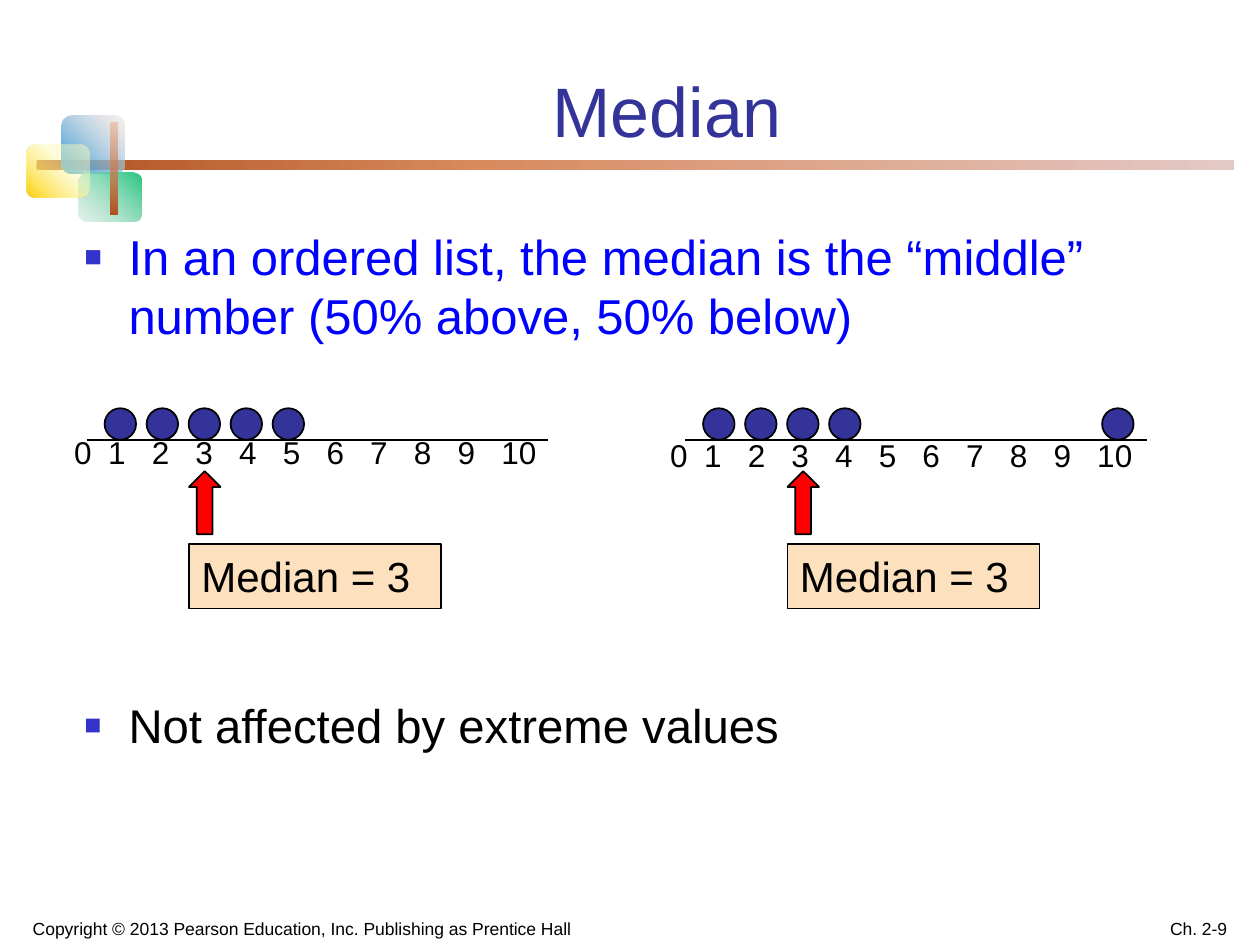
from dataclasses import dataclass

from lxml import etree
from pptx import Presentation
from pptx.dml.color import RGBColor
from pptx.enum import shapes, text
from pptx.oxml import ns
from pptx.util import Inches, Pt


@dataclass(frozen=True)
class Theme:
    face: str = "Arial"
    ink: str = "000000"
    navy: str = "333399"
    blue: str = "0000FF"
    bullet: str = "3333CC"
    red: str = "FF0000"
    peach: str = "FDE0BD"
    title: int = 40
    lead: int = 28
    point: int = 27
    label: int = 24
    tick: int = 18
    foot: int = 10


THEME = Theme()
KIND = shapes.MSO_SHAPE
ALIGN = text.PP_ALIGN
ANCHOR = text.MSO_ANCHOR
FIT = text.MSO_AUTO_SIZE

# Accent shapes: box, gradient angle, stops of (position, colour, opacity)
ACCENTS = [
    ((0.29, 1.27, 9.5, 0.08), 0,
     [(0, "AE511E", 100), (37, "D88A5E", 100), (100, "E4C9C6", 100)]),
    ((0.49, 0.92, 0.5, 0.46), 315, [(0, "2895D8", 100), (100, "F7E2D9", 50)]),
    ((0.62, 1.37, 0.5, 0.39), 135, [(0, "25C580", 100), (100, "CCE2D9", 50)]),
    ((0.21, 1.15, 0.5, 0.42), 315, [(0, "FFCF01", 100), (63, "FCFCBC", 50)]),
    ((0.88, 0.97, 0.05, 0.73), 270, [(0, "AE511E", 100), (100, "EAA782", 50)]),
]


def rgb(code):
    return RGBColor.from_string(code)


def inch(box):
    return [Inches(v) for v in box]


def apply(obj, **form):
    for name, value in form.items():
        setattr(obj, name, value)


def node(parent, tag, **attrs):
    item = etree.SubElement(parent, ns.qn(tag))
    for name, value in attrs.items():
        item.set(name, str(value))
    return item


def set_font(para, size, color=THEME.ink):
    apply(para.font, name=THEME.face, size=Pt(size))
    para.font.color.rgb = rgb(color)


def set_frame(frame, side=0.1, anchor=ANCHOR.TOP, fit=FIT.NONE):
    apply(frame, word_wrap=True, auto_size=fit, vertical_anchor=anchor,
          margin_left=Inches(side), margin_right=Inches(side),
          margin_top=Inches(0.05), margin_bottom=Inches(0.05))


def place(shape, box):
    apply(shape, **dict(zip(("left", "top", "width", "height"), inch(box))))


def add_form(slide, kind, box, fill):
    shape = slide.shapes.add_shape(kind, *inch(box))
    shape.shadow.inherit = False
    shape.fill.solid()
    shape.fill.fore_color.rgb = rgb(fill)
    shape.line.color.rgb = rgb(THEME.ink)
    shape.line.width = Pt(1)
    return shape


def add_text(slide, box, words, size, align=ALIGN.LEFT, **form):
    frame = slide.shapes.add_textbox(*inch(box)).text_frame
    set_frame(frame, **form)
    para = frame.paragraphs[0]
    apply(para, text=words, alignment=align)
    set_font(para, size)
    return para


def add_accent(slide, box, angle, stops):
    shape = add_form(slide, KIND.ROUNDED_RECTANGLE, box, THEME.ink)
    shape.line.fill.background()
    shape.fill.gradient()
    grad = shape.fill._fill._gradFill
    for child in list(grad):
        grad.remove(child)
    group = node(grad, "a:gsLst")
    for pos, code, alpha in stops:
        color = node(node(group, "a:gs", pos=pos * 1000), "a:srgbClr", val=code)
        if alpha < 100:
            node(color, "a:alpha", val=alpha * 1000)
    node(grad, "a:lin", ang=angle * 60000, scaled=0)


def add_bullet(para, words, size, color, before=0):
    para.text = words
    props = para._p.get_or_add_pPr()
    apply(para, space_before=Pt(before), line_spacing=1.0)
    props.set("marL", str(Inches(0.35)))
    props.set("indent", str(Inches(-0.35)))
    node(node(props, "a:buClr"), "a:srgbClr", val=THEME.bullet)
    node(props, "a:buSzPct", val=60000)
    node(props, "a:buFont", typeface=THEME.face)
    node(props, "a:buChar", char="■")
    set_font(para, size, color)


def add_ticks(slide, left, top):
    words = "\t".join(str(n) for n in range(11))
    para = add_text(slide, (left, top, 4.36, 0.4), words, THEME.tick,
                    fit=FIT.SHAPE_TO_FIT_TEXT)
    props = para._p.get_or_add_pPr()
    tabs = etree.Element(ns.qn("a:tabLst"))
    for n in range(10):
        node(tabs, "a:tab", pos=Inches(0.27 + n * 3.12 / 9), algn="l")
    props.insert(0, tabs)


def add_plot(slide, left, slots, ticks):
    """Draw a number line; dots sit a third of an inch apart per slot."""
    line = slide.shapes.add_connector(
        shapes.MSO_CONNECTOR.STRAIGHT,
        *inch((left, 3.49, left + 3.66, 3.49)))
    line.line.color.rgb = rgb(THEME.ink)
    line.line.width = Pt(1)
    node(line._element.spPr, "a:effectLst")
    add_ticks(slide, *ticks)
    for slot in slots:
        spot = left + 0.14 + (slot - 1) / 3
        add_form(slide, KIND.OVAL, (spot, 3.24, 0.25, 0.25), THEME.navy)

    # Median marker and its label
    mid = left + 0.81
    add_form(slide, KIND.UP_ARROW, (mid, 3.74, 0.25, 0.5), THEME.red)
    card = add_form(slide, KIND.RECTANGLE, (mid, 4.32, 2, 0.51), THEME.peach)
    set_frame(card.text_frame, fit=FIT.SHAPE_TO_FIT_TEXT)
    para = card.text_frame.paragraphs[0]
    apply(para, text="Median = 3", alignment=ALIGN.LEFT)
    set_font(para, THEME.label)


def main():
    deck = Presentation()
    apply(deck, slide_width=Inches(10), slide_height=Inches(7.5))
    slide = deck.slides.add_slide(deck.slide_layouts[1])

    # Decoration
    for accent in ACCENTS:
        add_accent(slide, *accent)

    # Title
    title = slide.shapes.title
    place(title, (1.26, 0.17, 8.07, 1.08))
    set_frame(title.text_frame, 0.09, ANCHOR.BOTTOM)
    para = title.text_frame.paragraphs[0]
    apply(para, text="Median", alignment=ALIGN.CENTER)
    set_font(para, THEME.title, THEME.navy)

    # Points, spaced to leave room for the number lines
    body = slide.placeholders[1]
    place(body, (0.58, 1.75, 9.17, 5.5))
    frame = body.text_frame
    set_frame(frame, 0.09)
    add_bullet(frame.paragraphs[0],
               "In an ordered list, the median is the “middle” number "
               "(50% above, 50% below)", THEME.lead, THEME.blue)
    add_bullet(frame.add_paragraph(), "Not affected by extreme values",
               THEME.point, THEME.ink, before=201)

    # Number lines; the outlier sits above the wide label 10
    add_plot(slide, 0.69, (1, 2, 3, 4, 5), (0.49, 3.39))
    add_plot(slide, 5.44, (1, 2, 3, 4, 10.5), (5.22, 3.41))

    # Footer
    add_text(slide, (0.17, 7.15, 5.33, 0.35),
             "Copyright © 2013 Pearson Education, Inc. Publishing as "
             "Prentice Hall", THEME.foot, side=0.09, anchor=ANCHOR.BOTTOM)
    add_text(slide, (7.5, 7.15, 2.33, 0.35), "Ch. 2-9", THEME.foot,
             ALIGN.RIGHT, side=0.09, anchor=ANCHOR.BOTTOM)

    deck.save("out.pptx")


if __name__ == "__main__":
    main()
